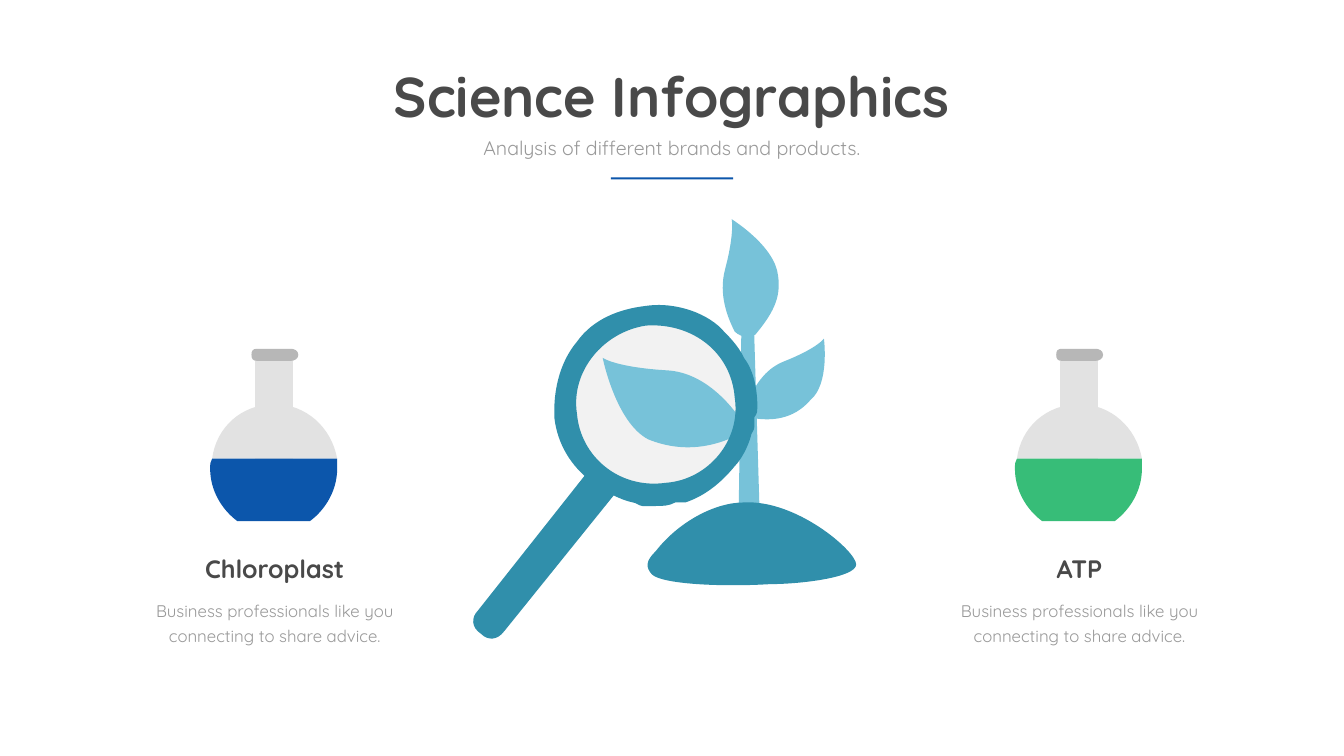
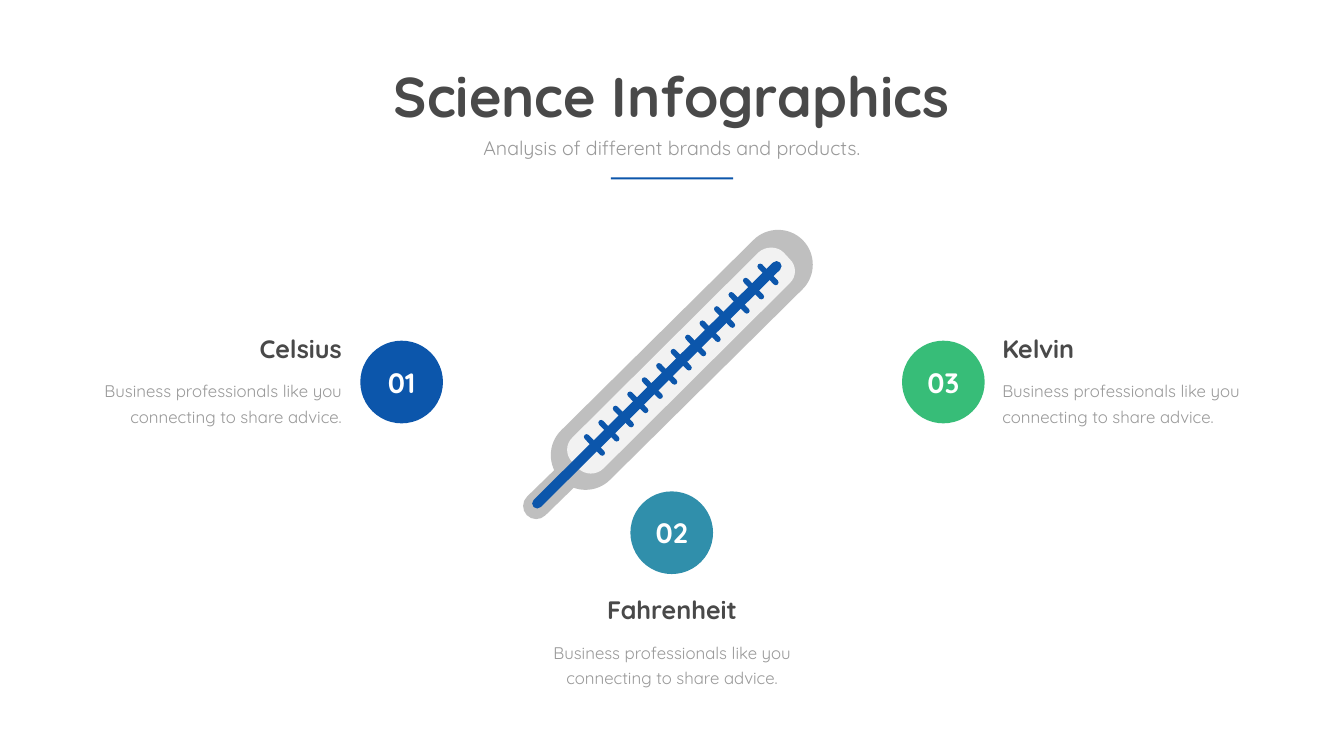
from dataclasses import dataclass
from math import atan2, cos, pi, sin

from pptx import Presentation
from pptx.dml.color import RGBColor
from pptx.enum.shapes import MSO_SHAPE
from pptx.enum.text import MSO_ANCHOR, MSO_AUTO_SIZE, PP_ALIGN
from pptx.oxml.ns import qn
from pptx.util import Inches, Pt


@dataclass(frozen=True)
class Theme:
    font: str = "Quicksand"
    heading: str = "494949"
    body: str = "999999"
    white: str = "FFFFFF"
    blue: str = "0C56AB"
    teal: str = "308FAB"
    green: str = "37BD78"
    leaf: str = "77C2D9"
    glass: str = "E2E2E2"
    cork: str = "B7B7B7"
    casing: str = "BFBFBF"
    pale: str = "F2F2F2"
    title_size: float = 80
    badge_size: float = 40
    heading_size: float = 36
    subtitle_size: float = 28
    body_size: float = 24
    body_leading: float = 36.6


# Fine grid that all positions and outlines refer to
COLUMNS, ROWS = 2667, 1500
CAPTION_TEXT = "Business professionals like you connecting to share advice."
BODY_WIDTH, HEADING_WIDTH = 545, 489
HEADING_SHIFT = {PP_ALIGN.LEFT: 0, PP_ALIGN.CENTER: 0.5, PP_ALIGN.RIGHT: 1}
# Handle length of a cubic curve that stands for a quarter circle
QUARTER_HANDLE = 0.55


def write_text(frame, text, *, font, size, color, bold=False,
               align=PP_ALIGN.CENTER, leading=None):
    paragraph = frame.paragraphs[0]
    paragraph.alignment = align
    if leading:
        paragraph.line_spacing = Pt(leading)
    run = paragraph.add_run()
    run.text = text
    run.font.name = font
    run.font.size = Pt(size)
    run.font.bold = bold
    run.font.color.rgb = RGBColor.from_string(color)


def bend(shape, paths):
    """Join the three lines through a curve's handles and end into one curve."""
    lines = iter(shape.element.findall(".//" + qn("a:lnTo")))
    for path in paths:
        for segment in path[1:]:
            first = next(lines)
            if len(segment) == 6:
                first.tag = qn("a:cubicBezTo")
                for line in (next(lines), next(lines)):
                    first.extend(list(line))
                    line.getparent().remove(line)


class Deck:
    def __init__(self, theme):
        self.theme = theme
        self.presentation = Presentation()
        self.presentation.slide_width = Inches(26.67)
        self.presentation.slide_height = Inches(15)
        self.slide = None

    def new_slide(self):
        self.slide = self.presentation.slides.add_slide(self.presentation.slide_layouts[6])

    def across(self, columns):
        return round(self.presentation.slide_width * columns / COLUMNS)

    def down(self, rows):
        return round(self.presentation.slide_height * rows / ROWS)

    def box(self, left, top, width, height):
        return self.across(left), self.down(top), self.across(width), self.down(height)

    def paint(self, shape, color):
        shape.shadow.inherit = False
        shape.fill.solid()
        shape.fill.fore_color.rgb = RGBColor.from_string(color)
        shape.line.fill.background()

    def text(self, text, *place, wrap=True, **style):
        frame = self.slide.shapes.add_textbox(*self.box(*place)).text_frame
        frame.word_wrap = wrap
        frame.auto_size = MSO_AUTO_SIZE.SHAPE_TO_FIT_TEXT
        write_text(frame, text, font=self.theme.font, **style)

    def preset(self, kind, color, *place):
        shape = self.slide.shapes.add_shape(kind, *self.box(*place))
        self.paint(shape, color)
        return shape

    def outline(self, color, *paths, left=0, top=0):
        """Draw paths of (x, y) line ends and six-number cubic curves."""
        builder = None
        for path in paths:
            points = [(self.across(left + segment[i]), self.down(top + segment[i + 1]))
                      for segment in path for i in range(0, len(segment), 2)]
            if builder is None:
                builder = self.slide.shapes.build_freeform(*points[0])
            else:
                builder.move_to(*points[0])
            builder.add_line_segments(points[1:], close=True)
        shape = builder.convert_to_shape()
        bend(shape, paths)
        self.paint(shape, color)

    def capsule(self, color, start, end, radius):
        """A bar with round ends, from one end's centre to the other's."""
        angle = atan2(end[1] - start[1], end[0] - start[0])
        handle = QUARTER_HANDLE

        def place(center, forward, side):
            return (center[0] + radius * (forward * cos(angle) - side * sin(angle)),
                    center[1] + radius * (forward * sin(angle) + side * cos(angle)))

        path = []
        for center, way in ((end, 1), (start, -1)):
            path += [place(center, 0, -way),
                     place(center, way * handle, -way) + place(center, way, -way * handle)
                     + place(center, way, 0),
                     place(center, way, way * handle) + place(center, way * handle, way)
                     + place(center, 0, way)]
        self.outline(color, path)

    def title(self):
        theme = self.theme
        self.text("Science Infographics", 749, 117, 1167, 145, wrap=False,
                  size=theme.title_size, color=theme.heading, bold=True)
        self.text("Analysis of different brands and products.", 855, 265, 956, 57,
                  size=theme.subtitle_size, color=theme.body)
        self.preset(MSO_SHAPE.RECTANGLE, theme.blue, 1212, 352, 243, 4)

    def caption(self, heading, left, top, align=PP_ALIGN.CENTER):
        theme = self.theme
        self.text(CAPTION_TEXT, left, top + 83.5, BODY_WIDTH, 113, align=align,
                  size=theme.body_size, color=theme.body, leading=theme.body_leading)
        shift = (BODY_WIDTH - HEADING_WIDTH) * HEADING_SHIFT[align]
        self.text(heading, left + shift, top, HEADING_WIDTH, 71, align=align,
                  size=theme.heading_size, color=theme.heading, bold=True)

    def badge(self, number, color, left, top):
        frame = self.preset(MSO_SHAPE.OVAL, color, left, top, 164, 164).text_frame
        frame.vertical_anchor = MSO_ANCHOR.MIDDLE
        write_text(frame, number, font=self.theme.font, size=self.theme.badge_size,
                   color=self.theme.white, bold=True)

    def flask(self, liquid, left, top):
        theme = self.theme
        neck = [(90, 6), (90, 230), (165, 230), (165, 6)]
        cork = [(160, 24), (93, 24), (85, 24, 82, 20, 82, 12), (82, 4, 85, 0, 93, 0),
                (160, 0), (167, 0, 175, 4, 175, 12), (175, 20, 167, 24, 160, 24)]
        bulb = [(128, 110), (62, 110, 12, 156, 4, 218), (252, 218),
                (241, 156, 190, 110, 128, 110)]
        filling = [(54, 342), (198, 342), (229, 319, 252, 281, 252, 238),
                   (252, 230, 252, 223, 252, 218), (4, 218),
                   (0, 223, 0, 230, 0, 238), (0, 281, 23, 319, 54, 342)]
        parts = ((theme.glass, neck), (theme.cork, cork), (theme.glass, bulb), (liquid, filling))
        for color, path in parts:
            self.outline(color, path, left=left, top=top)

    def plant_under_lens(self):
        theme = self.theme
        lens = [(1480, 776), (1493, 873, 1421, 964, 1323, 977),
                (1225, 983, 1134, 912, 1120, 814), (1113, 717, 1186, 626, 1284, 619),
                (1382, 607, 1474, 678, 1480, 776)]
        right_leaf = [(1477, 826), (1477, 826, 1490, 743, 1556, 717),
                      (1622, 691, 1635, 672, 1635, 672), (1635, 672, 1647, 762, 1608, 794),
                      (1575, 832, 1529, 839, 1477, 826)]
        left_leaf = [(1483, 853), (1483, 853, 1424, 742, 1326, 735),
                     (1222, 729, 1196, 710, 1196, 710), (1196, 710, 1222, 839, 1287, 872),
                     (1352, 898, 1418, 891, 1483, 853)]
        stem = [(1473, 535), (1466, 1004), (1507, 1004), (1493, 542)]
        top_leaf = [(1499, 664), (1491, 671, 1472, 671, 1458, 658),
                    (1445, 632, 1425, 586, 1439, 534), (1458, 462, 1452, 435, 1452, 435),
                    (1452, 435, 1538, 488, 1544, 547), (1551, 593, 1531, 625, 1499, 664)]
        soil = [(1301, 1094), (1346, 1036, 1418, 997, 1476, 997),
                (1581, 991, 1699, 1094, 1699, 1120), (1699, 1146, 1588, 1159, 1529, 1159),
                (1431, 1165, 1314, 1159, 1294, 1140), (1281, 1126, 1281, 1113, 1301, 1094)]
        handle = [(955, 1258), (935, 1245, 935, 1225, 948, 1212), (1164, 939),
                  (1177, 926, 1196, 926, 1210, 939), (1223, 945, 1229, 972, 1217, 984),
                  (1001, 1252), (987, 1271, 968, 1271, 955, 1258)]
        rim = [(1477, 711), (1465, 685, 1444, 665, 1425, 646),
               (1386, 613, 1327, 600, 1282, 607), (1229, 613, 1177, 633, 1145, 678),
               (1112, 717, 1100, 770, 1100, 814), (1100, 828),
               (1106, 880, 1132, 925, 1177, 958), (1204, 977, 1229, 991, 1256, 997),
               (1262, 997, 1269, 1004, 1275, 1004), (1301, 1004),
               (1315, 1004, 1327, 1004, 1340, 997), (1347, 997, 1354, 997, 1360, 997),
               (1399, 984, 1431, 958, 1458, 925), (1471, 912, 1484, 887, 1490, 866),
               (1490, 860, 1497, 854, 1497, 847), (1497, 828),
               (1503, 821, 1503, 814, 1503, 808), (1503, 776, 1497, 737, 1477, 711)]
        opening = [(1321, 958), (1229, 971, 1152, 906, 1145, 821),
                   (1132, 737, 1197, 659, 1282, 646), (1373, 640, 1451, 698, 1458, 789),
                   (1471, 873, 1406, 952, 1321, 958)]
        self.outline(theme.pale, lens)
        for leaf_part in (right_leaf, left_leaf, stem, top_leaf):
            self.outline(theme.leaf, leaf_part)
        self.outline(theme.teal, soil)
        self.outline(theme.teal, handle)
        self.outline(theme.teal, rim, opening)

    def thermometer(self):
        theme = self.theme
        tube = [(1147, 929), (1135, 916), (1122, 903, 1122, 881, 1136, 868), (1505, 501),
                (1519, 488, 1542, 488, 1555, 501), (1567, 514),
                (1581, 527, 1581, 549, 1567, 562), (1197, 930),
                (1183, 943, 1161, 943, 1147, 929)]
        self.capsule(theme.casing, (1064, 1004), (1140, 930), 26)
        self.capsule(theme.casing, (1162, 903), (1544, 525), 69)
        self.outline(theme.pale, tube)
        # Scale marks, evenly stepped down the tube
        for mark in range(13):
            x, y = 1508.5 - 28.7 * mark, 528.5 + 28.2 * mark
            self.capsule(theme.blue, (x, y), (x + 31, y + 32), 5.5)
        self.capsule(theme.blue, (1066, 999), (1541, 528), 10)


def main():
    theme = Theme()
    deck = Deck(theme)

    # Plant under the magnifier between two flasks
    deck.new_slide()
    deck.title()
    deck.plant_under_lens()
    flasks = (("Chloroplast", theme.blue, 417), ("ATP", theme.green, 2014))
    for name, liquid, left in flasks:
        deck.flask(liquid, left, 692)
    for name, liquid, left in flasks:
        deck.caption(name, left - 144.5, 1092)

    # Thermometer with three temperature scales
    deck.new_slide()
    deck.caption("Celsius", 143, 657, PP_ALIGN.RIGHT)
    deck.caption("Kelvin", 1979, 657, PP_ALIGN.LEFT)
    deck.caption("Fahrenheit", 1061, 1175)
    deck.badge("01", theme.blue, 715, 676)
    deck.badge("03", theme.green, 1790, 676)
    deck.badge("02", theme.teal, 1251, 975)
    deck.title()
    deck.thermometer()

    deck.presentation.save("out.pptx")


if __name__ == "__main__":
    main()
